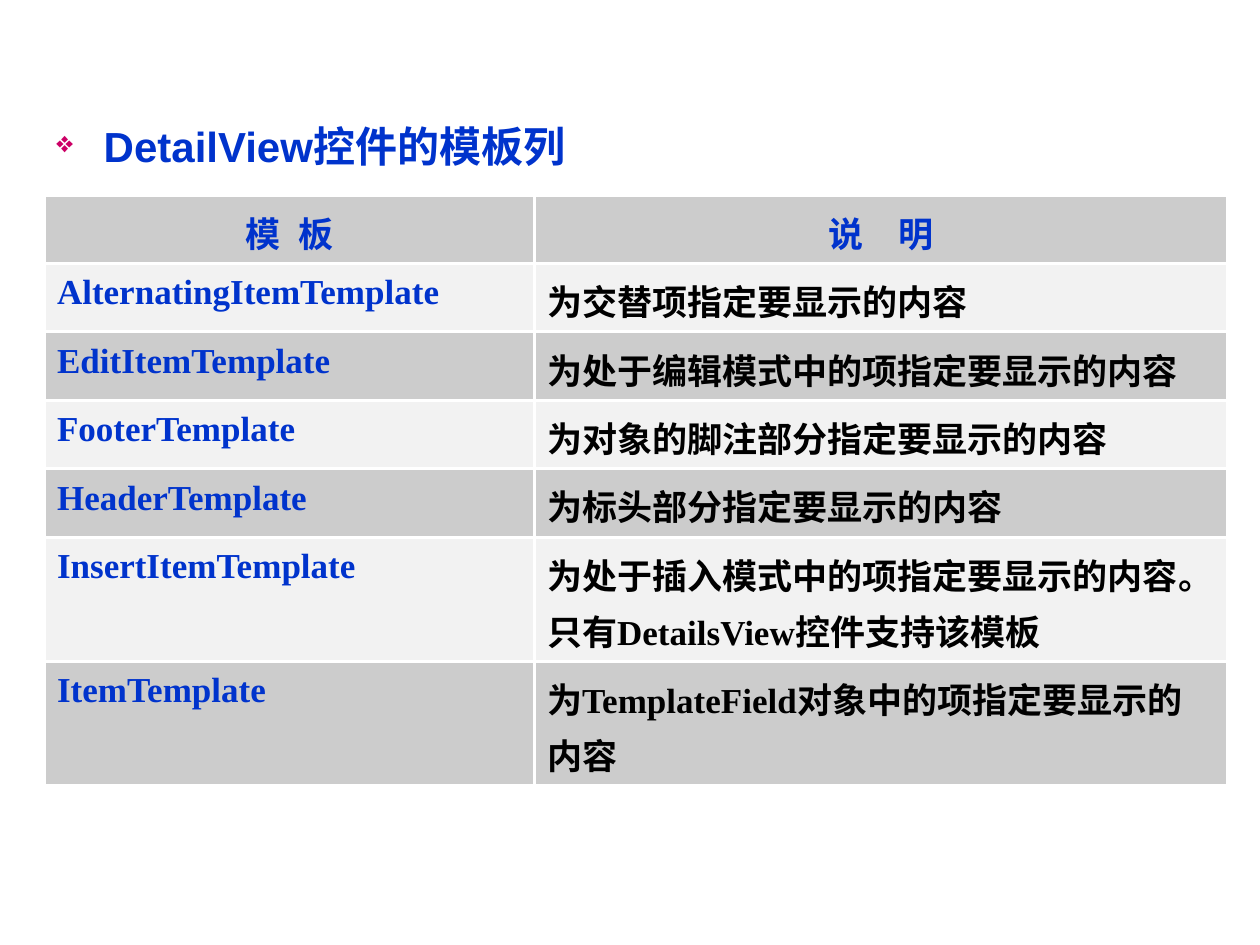
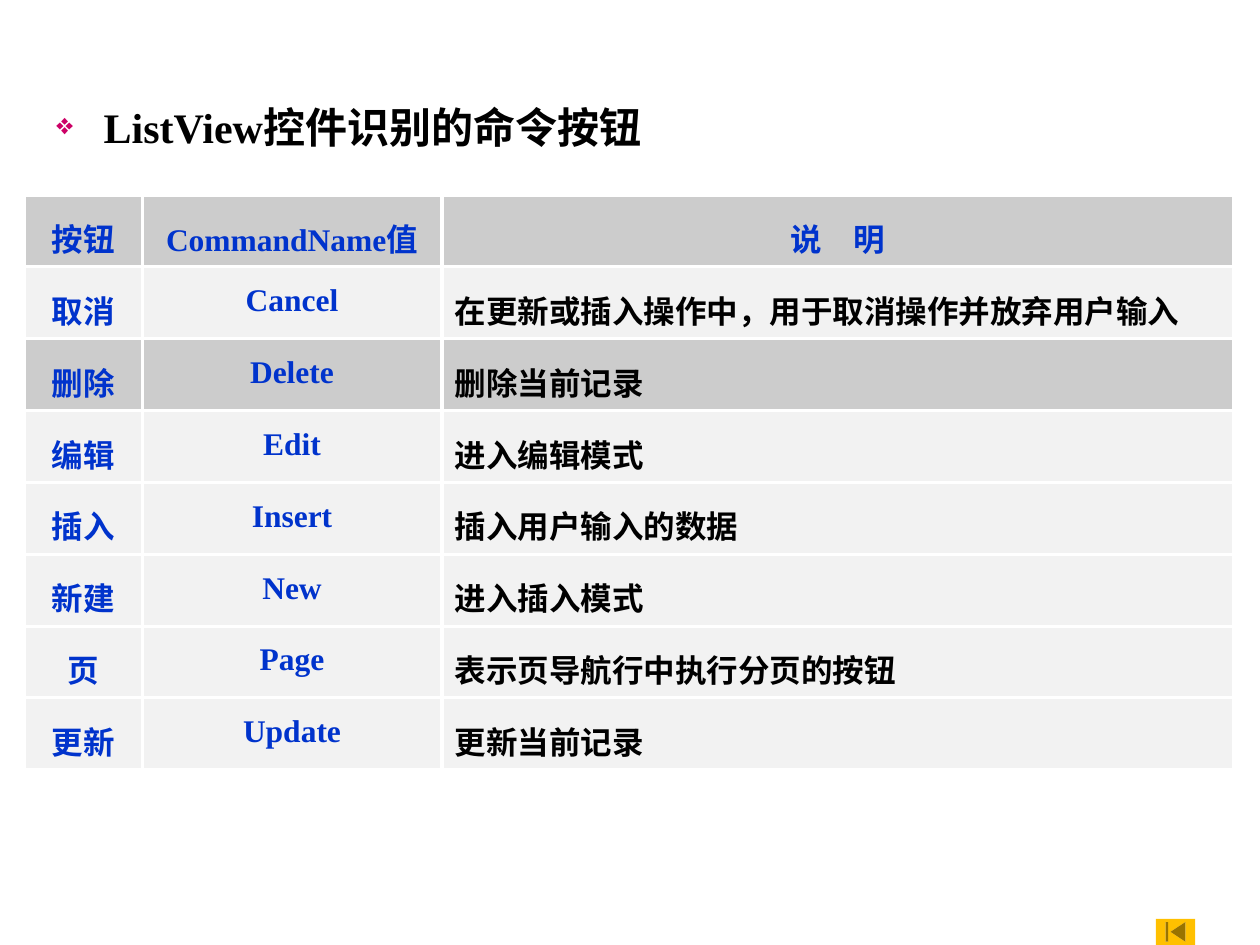
from lxml.etree import SubElement
from pptx import Presentation
from pptx.dml.color import RGBColor
from pptx.enum.shapes import MSO_SHAPE
from pptx.enum.text import PP_ALIGN
from pptx.oxml.ns import qn
from pptx.util import Pt

COLORS = {
    "blue": "0033CC",
    "black": "000000",
    "bullet": "CC0066",
    "dark": "CCCCCC",
    "light": "F2F2F2",
    "border": "FFFFFF",
    "button": "FFC000",
}
SERIF = "Times New Roman"


def style_font(font, name, size, color):
    font.name = name
    font.size = Pt(size)
    font.bold = True
    font.color.rgb = RGBColor.from_string(COLORS[color])


def add_border(properties, side):
    line = SubElement(properties, qn(f"a:{side}"), w=str(Pt(2)))
    fill = SubElement(line, qn("a:solidFill"))
    SubElement(fill, qn("a:srgbClr"), val=COLORS["border"])


pages = [
    {
        "title": "DetailView控件的模板列",
        "title_font": "Arial",
        "title_color": "blue",
        "title_top": 65.5,
        "title_height": 45.4,
        "left": 25.4,
        "columns": [280, 396],
        "row_heights": [39.1] * 5 + [71, 71],
        "size": 20,
        "spacing": 1.1,
        "centered_columns": 0,
        "dark_rows": [0, 2, 4, 6],
        "rows": [
            ["模\u2002板", "说\u3000明"],
            ["AlternatingItemTemplate", "为交替项指定要显示的内容"],
            ["EditItemTemplate", "为处于编辑模式中的项指定要显示的内容"],
            ["FooterTemplate", "为对象的脚注部分指定要显示的内容"],
            ["HeaderTemplate", "为标头部分指定要显示的内容"],
            ["InsertItemTemplate", "为处于插入模式中的项指定要显示的内容。只有DetailsView控件支持该模板"],
            ["ItemTemplate", "为TemplateField对象中的项指定要显示的内容"],
        ],
    },
    {
        "title": "ListView控件识别的命令按钮",
        "title_font": SERIF,
        "title_color": "black",
        "title_top": 54.7,
        "title_height": 62.6,
        "left": 14.2,
        "columns": [67, 171.4, 452.2],
        "row_heights": [41.05] * 8,
        "size": 18,
        "spacing": 1.3,
        "centered_columns": 2,
        "dark_rows": [0, 2],
        "rows": [
            ["按钮", "CommandName值", "说\u3000明"],
            ["取消", "Cancel", "在更新或插入操作中，用于取消操作并放弃用户输入"],
            ["删除", "Delete", "删除当前记录"],
            ["编辑", "Edit", "进入编辑模式"],
            ["插入", "Insert", "插入用户输入的数据"],
            ["新建", "New", "进入插入模式"],
            ["页", "Page", "表示页导航行中执行分页的按钮"],
            ["更新", "Update", "更新当前记录"],
        ],
    },
]

presentation = Presentation()
presentation.slide_width = Pt(720)
presentation.slide_height = Pt(540)

for page in pages:
    slide = presentation.slides.add_slide(presentation.slide_layouts[6])

    title = slide.shapes.add_textbox(
        Pt(25.2), Pt(page["title_top"]), Pt(672.5), Pt(page["title_height"]))
    title.text_frame.word_wrap = True
    paragraph = title.text_frame.paragraphs[0]
    paragraph.text = page["title"]
    paragraph.space_before = Pt(4.8)
    style_font(paragraph.font, page["title_font"], 24, page["title_color"])
    properties = paragraph._p.get_or_add_pPr()
    properties.set("marL", str(Pt(27)))
    properties.set("indent", str(-Pt(27)))
    bullet_color = SubElement(properties, qn("a:buClr"))
    SubElement(bullet_color, qn("a:srgbClr"), val=COLORS["bullet"])
    SubElement(properties, qn("a:buSzPct"), val="70000")
    SubElement(properties, qn("a:buChar"), char="❖")
    properties.append(properties.find(qn("a:defRPr")))

    rows, columns, heights = page["rows"], page["columns"], page["row_heights"]
    table = slide.shapes.add_table(
        len(rows), len(columns), Pt(page["left"]), Pt(111.5),
        Pt(sum(columns)), Pt(sum(heights))).table
    for column, width in zip(table.columns, columns):
        column.width = Pt(width)
    for row_index, texts in enumerate(rows):
        table.rows[row_index].height = Pt(heights[row_index])
        shade = "dark" if row_index in page["dark_rows"] else "light"
        for column_index, text in enumerate(texts):
            is_header = row_index == 0
            is_description = column_index == len(texts) - 1
            cell = table.cell(row_index, column_index)
            paragraph = cell.text_frame.paragraphs[0]
            paragraph.text = text
            paragraph.line_spacing = page["spacing"]
            if is_header or column_index < page["centered_columns"]:
                paragraph.alignment = PP_ALIGN.CENTER
            color = "black" if is_description and not is_header else "blue"
            style_font(paragraph.font, SERIF, page["size"], color)
            properties = cell._tc.get_or_add_tcPr()
            for side in ("lnL", "lnR", "lnT", "lnB"):
                add_border(properties, side)
            cell.fill.solid()
            cell.fill.fore_color.rgb = RGBColor.from_string(COLORS[shade])

button = slide.shapes.add_shape(
    MSO_SHAPE.ACTION_BUTTON_BEGINNING, Pt(660.5), Pt(525), Pt(22.5), Pt(15))
button.shadow.inherit = False
button.fill.solid()
button.fill.fore_color.rgb = RGBColor.from_string(COLORS["button"])
button.line.fill.background()

presentation.save("out.pptx")
